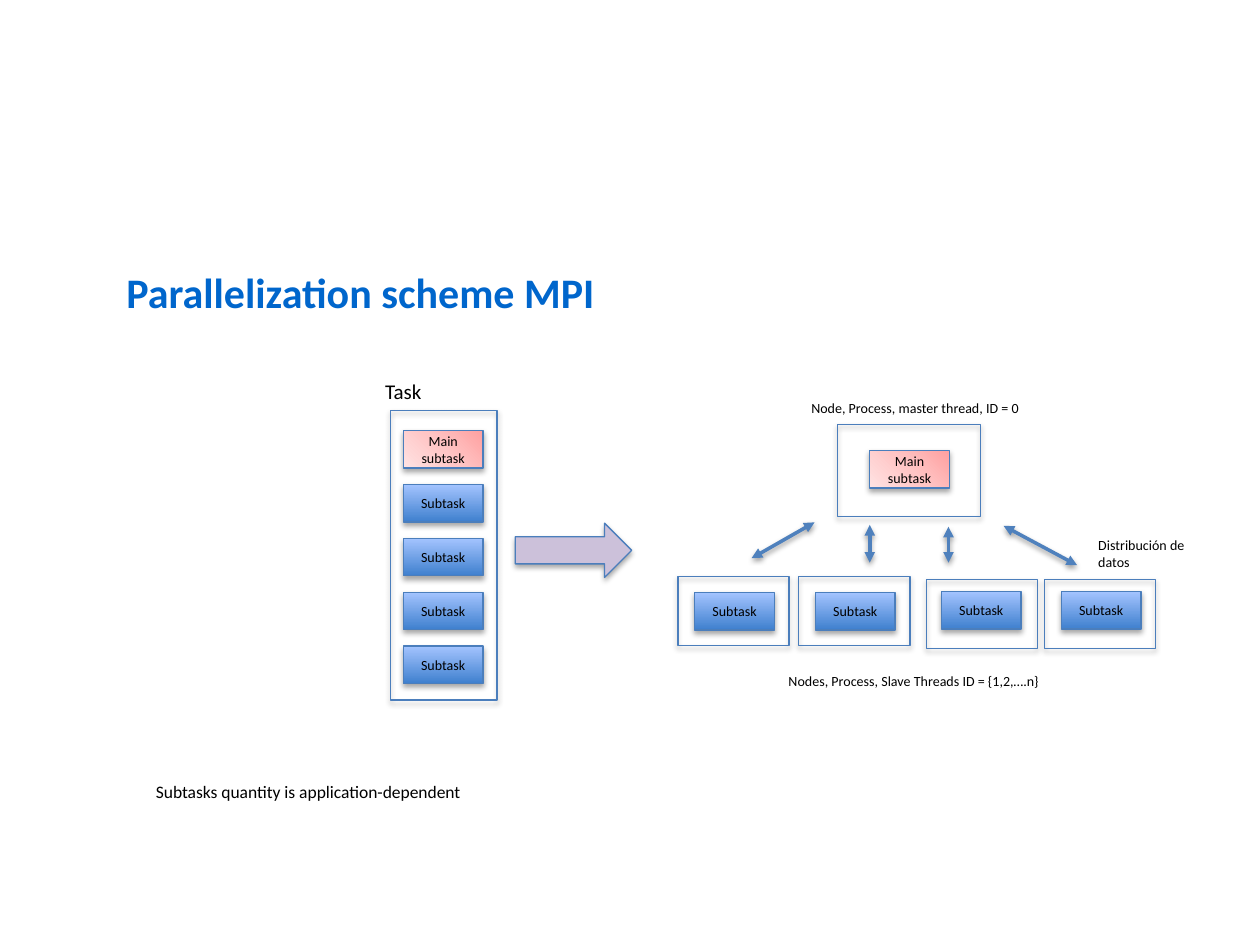
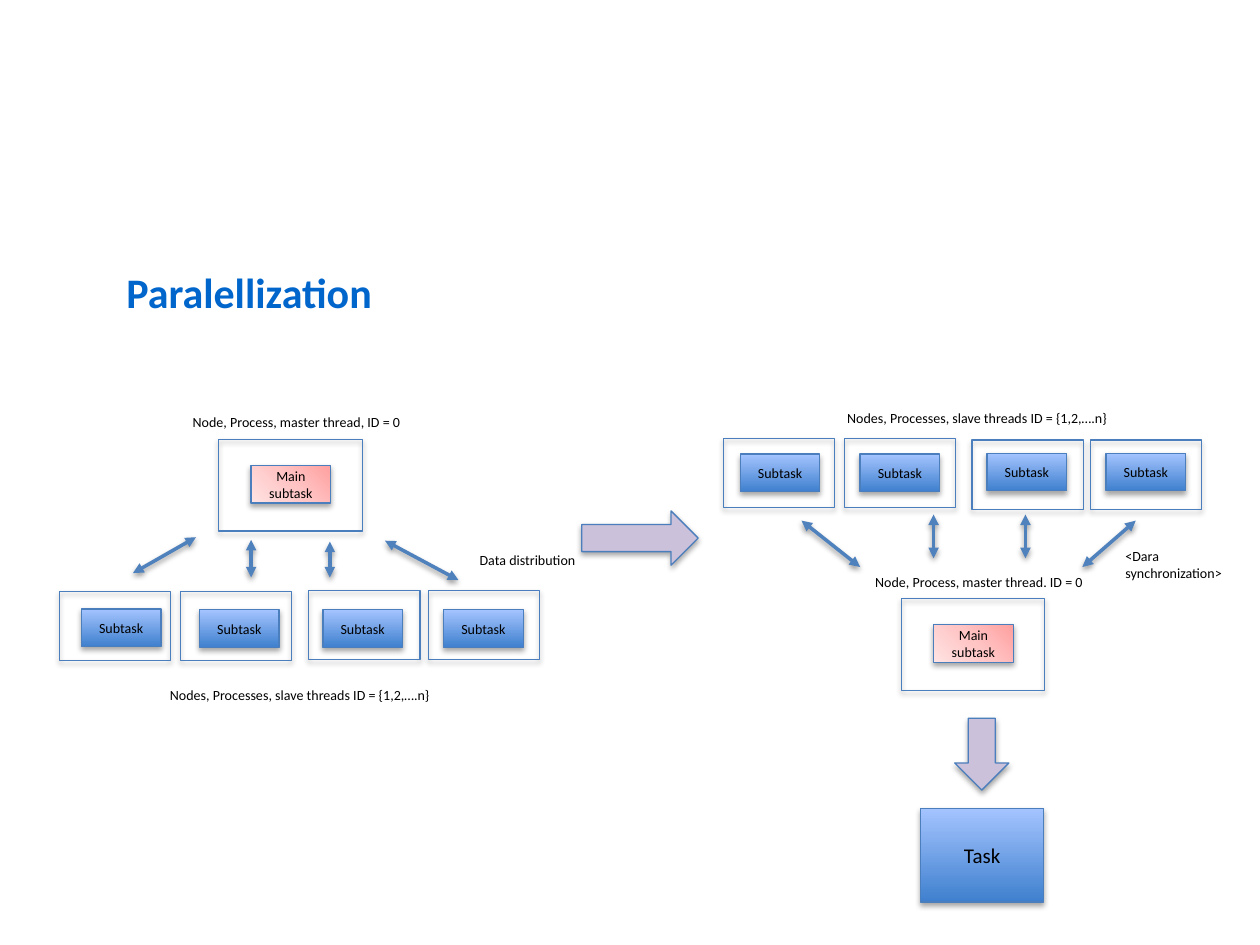
from lxml import etree
from pptx import Presentation
from pptx.dml.color import RGBColor
from pptx.enum.shapes import MSO_CONNECTOR, MSO_SHAPE
from pptx.enum.text import MSO_ANCHOR, MSO_AUTO_SIZE, PP_ALIGN
from pptx.oxml.ns import qn
from pptx.util import Pt

RECTANGLE = MSO_SHAPE.RECTANGLE
RIGHT_ARROW = MSO_SHAPE.RIGHT_ARROW
STRAIGHT = MSO_CONNECTOR.STRAIGHT
MIDDLE = MSO_ANCHOR.MIDDLE
NO_AUTOFIT = MSO_AUTO_SIZE.NONE
LEFT = PP_ALIGN.LEFT
CENTER = PP_ALIGN.CENTER

FONT = "Calibri"
BLACK = "000000"
TITLE_BLUE = "0066CC"
OUTLINE = "4B7EBC"
LINK_BLUE = "4F81BD"
ARROW_LILAC = "CCC1DA"
BLUE_GRADIENT = ([(0, "3F80CE"), (100, "A4C4FF")], 270)
PINK_GRADIENT = ([(0, "FFA0A0"), (50, "FFC5C5"), (100, "FFE3E3")], 135)

TASK_W, TASK_H = 45.5, 21.5
WORKER_W, WORKER_H = 63.5, 39.5
MASTER_W, MASTER_H = 82, 52.5
TASK_PITCH = 30.8


def rgb(value):
    return RGBColor.from_string(value)


def child(parent, tag, **attributes):
    return etree.SubElement(parent, qn(tag), attributes)


def add_shadow(effects, opacity):
    shadow = child(effects, "a:outerShdw", blurRad="40000", dist="23000",
                   dir="5400000", rotWithShape="0")
    colour = child(shadow, "a:srgbClr", val=BLACK)
    child(colour, "a:alpha", val=str(opacity * 1000))


def set_gradient(fill, shape, gradient):
    stops, clockwise = gradient
    fill.gradient()
    fill.gradient_angle = 360 - clockwise
    stop_list = shape.element.spPr.find(".//" + qn("a:gsLst"))
    for old_stop in list(stop_list):
        stop_list.remove(old_stop)
    for position, colour in stops:
        stop = child(stop_list, "a:gs", pos=str(position * 1000))
        child(stop, "a:srgbClr", val=colour)


def style(paragraph, size, colour=BLACK, bold=False, align=LEFT):
    paragraph.alignment = align
    paragraph.font.name = FONT
    paragraph.font.size = Pt(size)
    paragraph.font.bold = bold
    paragraph.font.color.rgb = rgb(colour)


def add_block(slide, left, top, width, height, preset=RECTANGLE):
    block = slide.shapes.add_shape(preset, Pt(left), Pt(top), Pt(width), Pt(height))
    block.fill.background()
    block.line.color.rgb = rgb(OUTLINE)
    block.line.width = Pt(0.75)
    block.shadow.inherit = False
    add_shadow(block.element.spPr.find(qn("a:effectLst")), 35)
    return block


def add_task(slide, left, top, text="Subtask", gradient=BLUE_GRADIENT,
             width=TASK_W, height=TASK_H, size=8):
    task = add_block(slide, left, top, width, height)
    set_gradient(task.fill, task, gradient)
    frame = task.text_frame
    frame.word_wrap = True
    frame.vertical_anchor = MIDDLE
    frame.text = text
    style(frame.paragraphs[0], size, align=CENTER)


def add_main_task(slide, left, top):
    add_task(slide, left, top, "Main subtask", PINK_GRADIENT)


def add_flow_arrow(slide, left, top, width, rotation=0):
    arrow = add_block(slide, left, top, width, 31, RIGHT_ARROW)
    arrow.fill.solid()
    arrow.fill.fore_color.rgb = rgb(ARROW_LILAC)
    arrow.rotation = rotation


def add_label(slide, left, top, width, text, size=8, height=17):
    label = slide.shapes.add_textbox(Pt(left), Pt(top), Pt(width), Pt(height))
    label.text_frame.word_wrap = True
    label.text_frame.text = text
    style(label.text_frame.paragraphs[0], size)


def add_links(slide, left, top, links):
    for x1, y1, x2, y2 in links:
        link = slide.shapes.add_connector(
            STRAIGHT, Pt(left + x1), Pt(top + y1), Pt(left + x2), Pt(top + y2))
        link.line.color.rgb = rgb(LINK_BLUE)
        link.line.width = Pt(2)
        outline = link.line._get_or_add_ln()
        child(outline, "a:headEnd", type="triangle")
        child(outline, "a:tailEnd", type="triangle")
        add_shadow(child(link.element.spPr, "a:effectLst"), 38)


def add_master(slide, left, top, text):
    add_label(slide, left, top, 142, text)
    add_block(slide, left + 22, top + 18, MASTER_W, MASTER_H)
    add_main_task(slide, left + 40.5, top + 33)


def add_workers(slide, left, top, nodes, tasks):
    for x, y in nodes:
        add_block(slide, left + x, top + y, WORKER_W, WORKER_H)
    for x, y in tasks:
        add_task(slide, left + x, top + y)


def add_distribution(slide, left, top, nodes, tasks, workers_text, data_text):
    add_master(slide, left + 69, top, "Node, Process, master thread, ID = 0")
    add_workers(slide, left, top + 104.5, nodes, tasks)
    add_label(slide, left + 56, top + 156, 172, workers_text, height=26.5)
    add_links(slide, left, top, [
        (42, 94.5, 78, 74), (228, 98.5, 186, 76),
        (109.5, 97, 109.5, 75.5), (154.5, 97, 154.5, 76.5)])
    add_label(slide, left + 233, top + 78.5, 71.5, data_text)


def add_synchronization(slide, left, top):
    add_label(slide, left + 63.5, top, 172,
              "Nodes, Processes, slave threads ID = {1,2,….n}", height=26.5)
    add_workers(slide, left, top + 20,
                [(0, 0), (69, 0), (142, 1), (209.5, 1)],
                [(9.5, 9), (78, 9), (150.5, 8.5), (218.5, 8.5)])
    add_links(slide, left, top, [
        (44.5, 67, 78, 93.5), (120, 63.5, 120, 88.5),
        (172.5, 63.5, 172.5, 88.5), (205, 93.5, 235.5, 67)])
    add_label(slide, left + 222.5, top + 79, 71.5, "<Dara synchronization>", height=26.5)
    add_master(slide, left + 79.5, top + 93.5, "Node, Process, master thread. ID = 0")


def add_task_column(slide, left, top):
    add_label(slide, left, top, 69, "Task", 12, 21.5)
    add_block(slide, left + 10, top + 21.5, 61, 165.5)
    add_main_task(slide, left + 17.5, top + 33)
    for row in range(1, 5):
        add_task(slide, left + 17.5, top + 33 + row * TASK_PITCH)


def add_titled_slide(presentation, text):
    slide = presentation.slides.add_slide(presentation.slide_layouts[5])
    title = slide.shapes.title
    title.left, title.top, title.width, title.height = Pt(65), Pt(148.5), Pt(612), Pt(36.5)
    title.text_frame.text = text
    title.text_frame.auto_size = NO_AUTOFIT
    title.text_frame.vertical_anchor = MIDDLE
    style(title.text_frame.paragraphs[0], 24, TITLE_BLUE, bold=True)
    return slide


def build_scheme(presentation):
    slide = add_titled_slide(presentation, "Parallelization scheme MPI")
    add_task_column(slide, 213, 213)
    add_flow_arrow(slide, 294.5, 299, 66.5)
    add_distribution(slide, 387.5, 224.5,
                     [(0, 0.5), (69, 0.5), (142, 2), (209.5, 2)],
                     [(9.5, 9.5), (78.5, 9.5), (150.5, 9), (219, 9)],
                     "Nodes, Process, Slave Threads ID = {1,2,….n}",
                     "Distribución de datos")
    add_label(slide, 82, 443, 243.5, "Subtasks quantity is application-dependent", 10, 19.5)


def build_parallelization(presentation):
    slide = add_titled_slide(presentation, "Paralellization")
    add_distribution(slide, 34, 233,
                     [(0, 0.5), (69, 0.5), (142.5, 0), (211, 0)],
                     [(12.5, 10.5), (80, 11), (150.5, 11), (219.5, 11)],
                     "Nodes, Processes, slave threads ID = {1,2,….n}",
                     "Data distribution")
    add_flow_arrow(slide, 332.5, 292, 66.5)
    add_synchronization(slide, 413.5, 230.5)
    add_flow_arrow(slide, 540.5, 415.5, 41, rotation=90)
    add_task(slide, 526, 462, "Task", width=70.5, height=53.5, size=12)


def main():
    presentation = Presentation()
    presentation.slide_width = Pt(720)
    presentation.slide_height = Pt(540)
    build_scheme(presentation)
    build_parallelization(presentation)
    presentation.save("out.pptx")


if __name__ == "__main__":
    main()
